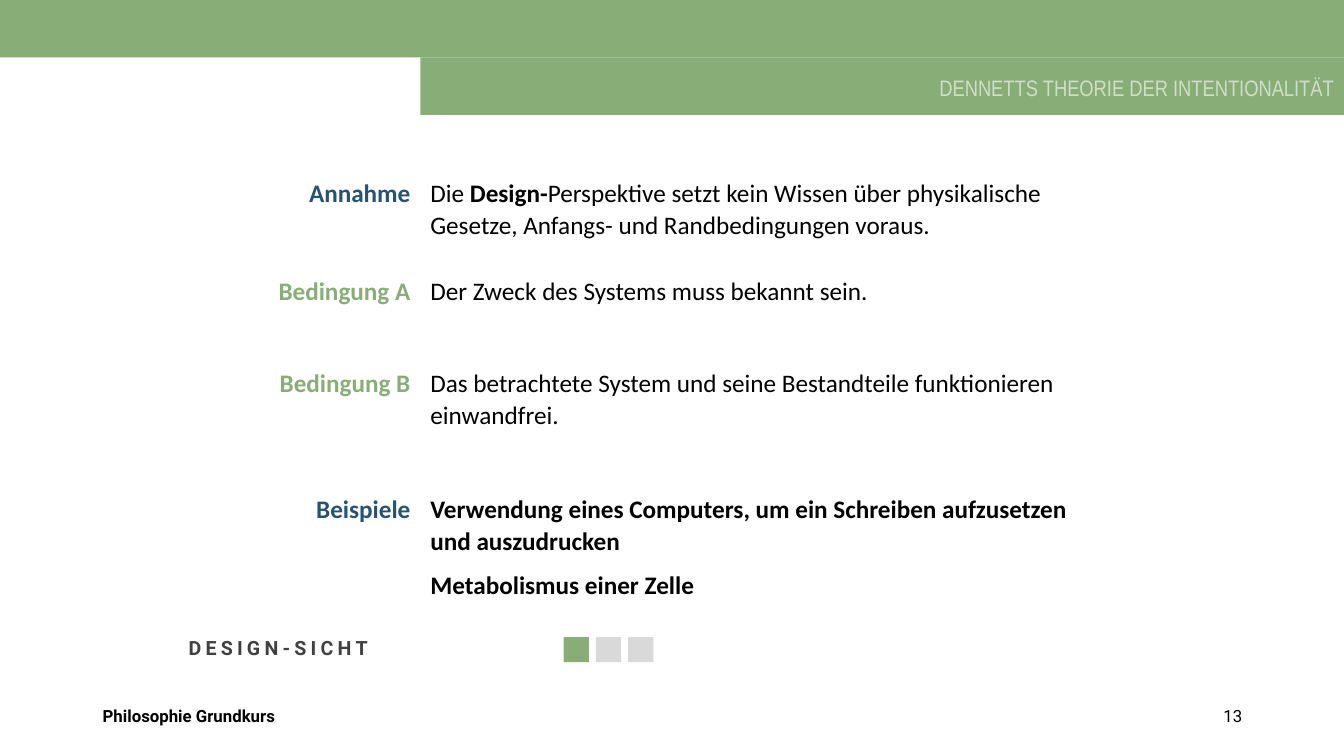
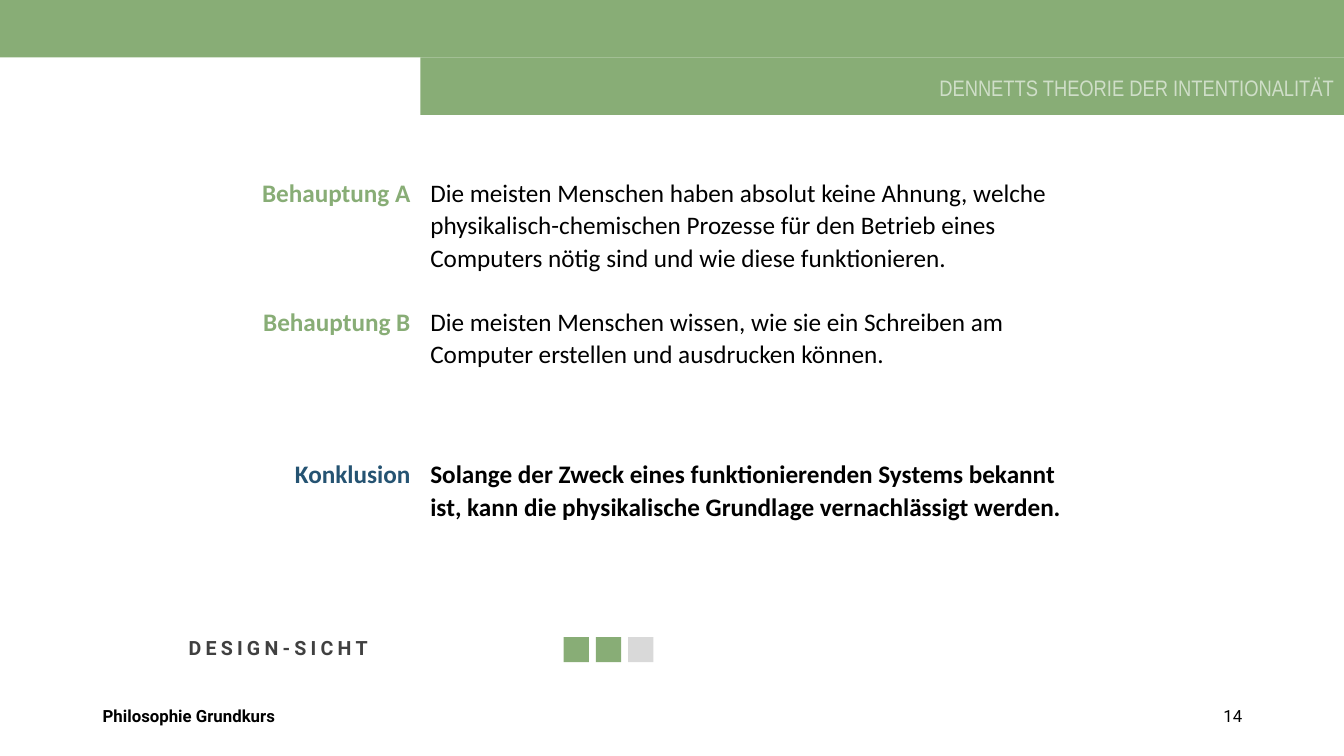
from pptx import Presentation
from pptx.dml.color import RGBColor as Rgb
from pptx.enum.shapes import MSO_SHAPE as Shape
from pptx.enum.text import MSO_ANCHOR as Anchor, MSO_AUTO_SIZE as Auto, PP_ALIGN as Align
from pptx.util import Inches, Pt

COLORS = {"green": "88AD76", "pale": "CFDEC8", "blue": "255372",
          "gray": "D9D9D9", "dark": "404040", "black": "000000"}
WIDE, HIGH = 13.33, 7.5
BAND = 0.57
SPLIT = 4.17  # right edge of the labels, left edge of the texts
FIRST = 13
STEPS = 3

# Each row: top, label, label color, paragraphs of (text, bold) runs
DECK = [
    [
        (1.69, "Annahme", "blue", [[
            ("Die ", False), ("Design-", True),
            ("Perspektive setzt kein Wissen über physikalische Gesetze, "
             "Anfangs- und Randbedingungen voraus.", False)]]),
        (2.66, "Bedingung A", "green", [[
            ("Der Zweck des Systems muss bekannt sein.", False)]]),
        (3.57, "Bedingung B", "green", [[
            ("Das betrachtete System und seine Bestandteile funktionieren "
             "einwandfrei.", False)]]),
        (4.82, "Beispiele", "blue", [
            [("Verwendung eines Computers, um ein Schreiben aufzusetzen "
              "und auszudrucken", True)],
            [("Metabolismus einer Zelle", True)]]),
    ],
    [
        (1.69, "Behauptung A", "green", [[
            ("Die meisten Menschen haben absolut keine Ahnung, welche "
             "physikalisch-chemischen Prozesse für den Betrieb eines "
             "Computers nötig sind und wie diese funktionieren.", False)]]),
        (2.97, "Behauptung B", "green", [[
            ("Die meisten Menschen wissen, wie sie ein Schreiben am "
             "Computer erstellen und ausdrucken können.", False)]]),
        (4.48, "Konklusion", "blue", [[
            ("Solange der Zweck eines funktionierenden Systems bekannt ist, "
             "kann die physikalische Grundlage vernachlässigt werden.", True)]]),
    ],
]


def rgb(name):
    return Rgb.from_string(COLORS[name])


def write(frame, paras, size=18, font="Calibri", color="black",
          align=Align.LEFT, line=None, after=None, track=None):
    """Fill a text frame with paragraphs of (text, bold) runs."""
    frame.word_wrap = True
    for i, runs in enumerate(paras):
        para = frame.paragraphs[0] if i == 0 else frame.add_paragraph()
        para.alignment = align
        para.line_spacing = line
        para.space_after = None if after is None else Pt(after)
        for words, bold in runs:
            run = para.add_run()
            run.text = words
            run.font.size = Pt(size)
            run.font.name = font
            run.font.bold = bold
            run.font.color.rgb = rgb(color)
            if track:
                run.font._element.set("spc", str(track * 100))


def label(slide, left, top, width, height, paras, grow=False, **style):
    box = slide.shapes.add_textbox(*map(Inches, (left, top, width, height)))
    write(box.text_frame, paras, **style)
    box.text_frame.auto_size = Auto.SHAPE_TO_FIT_TEXT if grow else Auto.NONE


def block(slide, left, top, width, height, color):
    rect = slide.shapes.add_shape(
        Shape.RECTANGLE, *map(Inches, (left, top, width, height)))
    rect.shadow.inherit = False
    rect.fill.solid()
    rect.fill.fore_color.rgb = rgb(color)
    rect.line.fill.background()


def header(slide):
    block(slide, 0, 0, WIDE, BAND, "green")
    block(slide, SPLIT, BAND, WIDE - SPLIT, BAND, "green")
    label(slide, 6.79, 0.69, 6.54, 0.37,
          [[("DENNETTS THEORIE DER INTENTIONALITÄT", False)]], grow=True,
          size=16, font="Arial Narrow", color="pale", align=Align.RIGHT)


def title(slide, words):
    shape = slide.shapes.title
    shape.left, shape.top = Inches(1.77), Inches(6.18)
    shape.width, shape.height = Inches(7.64), Inches(0.53)
    frame = shape.text_frame
    frame.vertical_anchor = Anchor.MIDDLE
    frame.auto_size = Auto.NONE
    write(frame, [[(words, True)]], size=14, font="Roboto", color="dark",
          line=0.9, track=3)


def footer(slide, number):
    style = {"size": 12, "font": "Roboto"}
    label(slide, 0.92, 6.95, 4.5, 0.4, [[("Philosophie Grundkurs", True)]], **style)
    label(slide, 9.42, 6.95, 3, 0.4, [[(str(number), False)]],
          align=Align.RIGHT, **style)


def steps(slide, done):
    """Draw the progress squares, the first ones filled."""
    for i in range(STEPS):
        block(slide, 5.59 + i * 0.32, 6.32, 0.25, 0.25,
              "green" if i < done else "gray")


def row(slide, top, name, color, paras):
    style = {"grow": True, "line": 1.07, "after": 8}
    label(slide, 0.87, top, SPLIT - 0.87, 0.41, [[(name, True)]],
          color=color, align=Align.RIGHT, **style)
    label(slide, SPLIT, top, 6.67, 0.41, paras, **style)


def main():
    deck = Presentation()
    deck.slide_width, deck.slide_height = Inches(WIDE), Inches(HIGH)
    layout = deck.slide_layouts.get_by_name("Title Only")
    for i, rows in enumerate(DECK):
        slide = deck.slides.add_slide(layout)
        title(slide, "DESIGN-SICHT")
        header(slide)
        for item in rows:
            row(slide, *item)
        steps(slide, i + 1)
        footer(slide, FIRST + i)
    deck.save("out.pptx")


if __name__ == "__main__":
    main()
